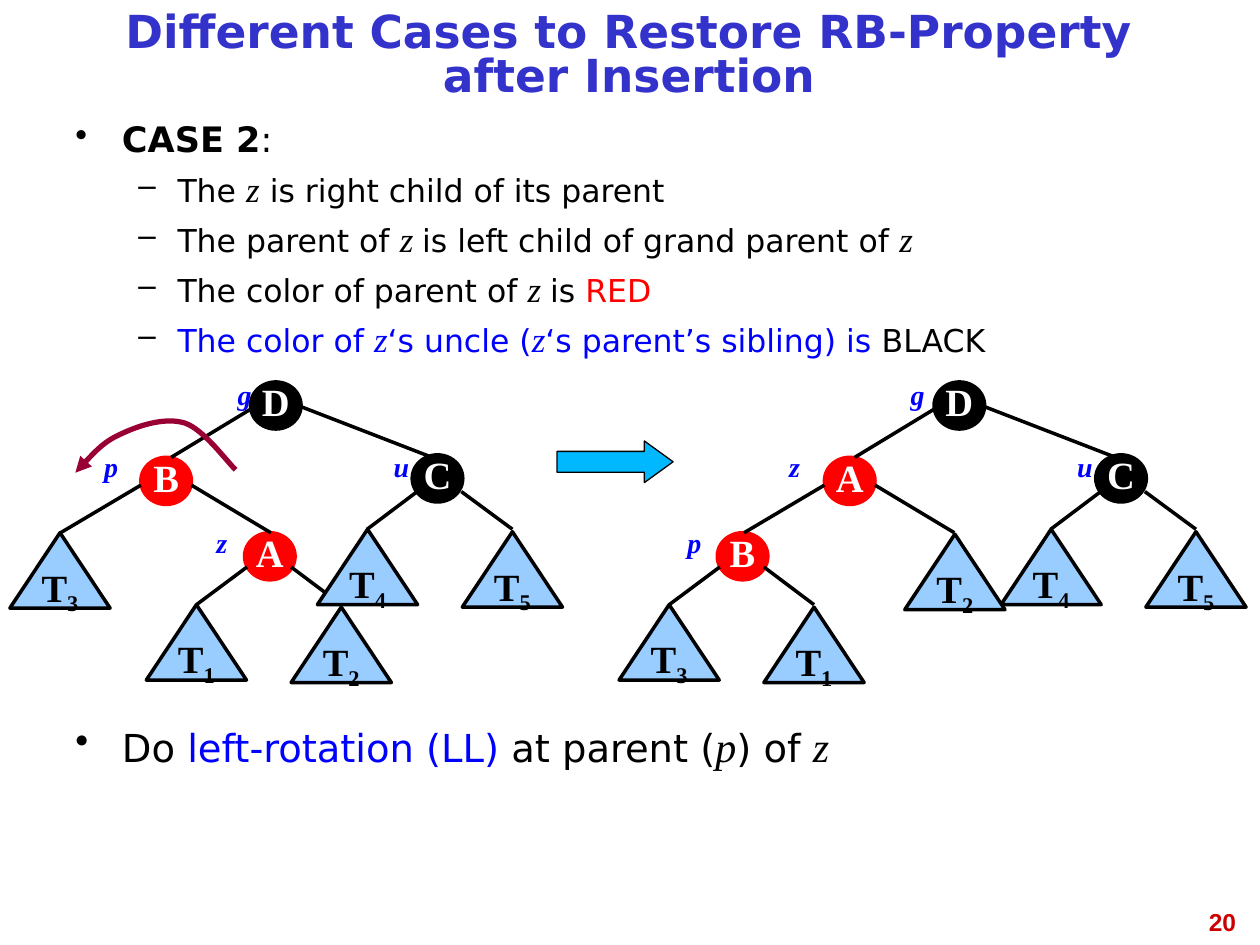
from pptx import Presentation
from pptx import util as u
from pptx.dml.color import RGBColor
from pptx.enum import shapes, text
from pptx.oxml.ns import qn
from lxml import etree

COLORS = {"title": "3333CC", "black": "000000", "red": "FF0000", "blue": "0000FF",
          "white": "FFFFFF", "leaf": "99CCFF", "page": "CC0000",
          "rotation": "990033", "arrow": "00B8FF"}
SANS, SERIF = "DejaVu Sans", "Times New Roman"
CENTER = text.PP_ALIGN.CENTER

deck = Presentation()
deck.slide_width, deck.slide_height = u.Cm(25.4), u.Cm(19.05)
slide = deck.slides.add_slide(deck.slide_layouts[6])
canvas = slide.shapes


def write(paragraph, content, size, color, font=SERIF, bold=False, italic=False):
    run = paragraph.add_run()
    run.text = content
    run.font.size, run.font.name = u.Pt(size), font
    run.font.bold, run.font.italic = bold, italic
    run.font.color.rgb = RGBColor.from_string(COLORS[color])
    return run


def place(kind, x, y, w, h, fill=None, line=None, width=2):
    """Add a text box (kind None) or a filled preset shape; lengths in cm."""
    box = [u.Cm(v) for v in (x, y, w, h)]
    if kind is None:
        part = canvas.add_textbox(*box)
        part.text_frame.word_wrap = True
        return part
    part = canvas.add_shape(kind, *box)
    part.shadow.inherit = False
    part.fill.solid()
    part.fill.fore_color.rgb = RGBColor.from_string(COLORS[fill])
    part.line.color.rgb = RGBColor.from_string(COLORS[line])
    part.line.width = u.Pt(width)
    part.text_frame.word_wrap = False
    part.text_frame.vertical_anchor = text.MSO_ANCHOR.MIDDLE
    caption = part.text_frame.paragraphs[0]
    caption.alignment, caption.line_spacing = CENTER, 0.81
    return part


# Page number and title
page = place(None, 19.25, 18.16, 5.92, 1.32).text_frame.paragraphs[0]
page.alignment = text.PP_ALIGN.RIGHT
write(page, "20", 14, "page", "Arial", bold=True)

heading = place(None, 1.27, 0.2, 22.83, 1.9).text_frame
heading.vertical_anchor = text.MSO_ANCHOR.MIDDLE
title = heading.paragraphs[0]
title.alignment, title.line_spacing = CENTER, 0.81
write(title, "Different Cases to Restore RB-Property after Insertion", 26, "title", SANS, bold=True)

# Bulleted text: each line is (level, size, runs); variables are set in serif italics
case_lines = [
    (0, 20, [("CASE 2", "bold", "black"), (":", "", "black")]),
    (1, 18, [("The ", "", "black"), ("z", "var", "black"),
             (" is right child of its parent", "", "black")]),
    (1, 18, [("The parent of ", "", "black"), ("z ", "var", "black"),
             ("is left child of grand parent of ", "", "black"), ("z", "var", "black")]),
    (1, 18, [("The color of parent of ", "", "black"), ("z ", "var", "black"),
             ("is ", "", "black"), ("RED", "", "red")]),
    (1, 18, [("The color of ", "", "blue"), ("z", "var", "blue"), ("‘s uncle (", "", "blue"),
             ("z", "var", "blue"), ("‘s parent’s sibling) is ", "", "blue"),
             ("BLACK", "", "black")]),
]
action_lines = [
    (0, 22, [("Do ", "", "black"), ("left-rotation (LL)", "", "blue"),
             (" at parent (", "", "black"), ("p", "var", "black"), (") of ", "", "black"),
             ("z", "var", "black")]),
]
bullets = [("•", 0.94, -0.94, 8), ("–", 2.06, -0.79, 7)]
for top, height, spacing, lines in [(2.34, 5.08, 0.9, case_lines), (14.4, 4.01, 1.0, action_lines)]:
    body = place(None, 1.27, top, 22.83, height).text_frame
    for i, (level, size, runs) in enumerate(lines):
        item = body.add_paragraph() if i else body.paragraphs[0]
        mark, margin, indent, gap = bullets[level]
        item.level = level
        item.alignment, item.line_spacing = text.PP_ALIGN.JUSTIFY, spacing
        if i:
            item.space_before = u.Pt(gap)
        props = item._p.get_or_add_pPr()
        props.set("marL", str(u.Cm(margin)))
        props.set("indent", str(u.Cm(indent)))
        tint = etree.SubElement(props, qn("a:buClr"))
        etree.SubElement(tint, qn("a:srgbClr"), val=COLORS["black"])
        etree.SubElement(props, qn("a:buChar"), char=mark)
        for content, style, color in runs:
            variable = style == "var"
            write(item, content, size + 2 * variable, color, SERIF if variable else SANS,
                  bold=style == "bold", italic=variable)

# Trees before and after the rotation: origin, left of the low node, then
# (name, pointer) of the mid and low nodes, the g label, mid leaf and low leaves
trees = [
    (0, 4.93, ("B", "p"), ("A", "z"), 4.93, ("3", 0.2, 10.74), "12"),
    (13.78, 0.68, ("A", "z"), ("B", "p"), 4.72, ("2", 4.46, 10.77), "31"),
]
for origin, low, (mid_name, mid_pointer), (low_name, low_pointer), g_x, mid_leaf, low_leaves in trees:
    # Pointer labels, centred on x
    for pointer, x, y in [("g", g_x, 7.49), (mid_pointer, 2.24, 8.94), ("u", 8.09, 8.94),
                          (low_pointer, low - 0.46, 10.46)]:
        label = place(None, origin + x - 1.02, y, 2.04, 0.94).text_frame.paragraphs[0]
        label.alignment = CENTER
        write(label, pointer, 16, "blue", bold=True, italic=True)

    # Nodes
    for name, color, x, y in [("D", "black", 5.05, 7.7), (mid_name, "red", 2.84, 9.22),
                              ("C", "black", 8.31, 9.17), (low_name, "red", low, 10.74)]:
        node = place(shapes.MSO_SHAPE.OVAL, origin + x, y, 1.02, 0.95, color, color)
        write(node.text_frame.paragraphs[0], name, 22, "white", bold=True)

    # Edges
    for x1, y1, x2, y2 in [
        (6.07, 8.2, 8.71, 9.22), (5.05, 8.25, 3.45, 9.22),
        (3.86, 9.78, 5.46, 10.74), (2.84, 9.78, 1.22, 10.74),
        (8.41, 9.91, 7.4, 10.67), (9.3, 9.91, 10.33, 10.67),
        (low + 0.05, 11.43, low - 0.97, 12.19), (low + 0.94, 11.43, low + 1.95, 12.19),
    ]:
        edge = canvas.add_connector(shapes.MSO_CONNECTOR.STRAIGHT, u.Cm(origin + x1), u.Cm(y1),
                                    u.Cm(origin + x2), u.Cm(y2))
        edge.line.color.rgb = RGBColor.from_string(COLORS["black"])
        edge.line.width = u.Pt(2)
        etree.SubElement(edge._element.spPr, qn("a:effectLst"))

    # Subtrees
    for index, x, y in [(low_leaves[0], low - 1.98, 12.19), (low_leaves[1], low + 0.94, 12.24),
                        ("4", 6.4, 10.67), ("5", 9.32, 10.72), mid_leaf]:
        subtree = place(shapes.MSO_SHAPE.ISOSCELES_TRIANGLE, origin + x, y, 2.02, 1.52,
                        "leaf", "black")
        caption = subtree.text_frame.paragraphs[0]
        write(caption, "T", 22, "black", bold=True)
        subscript = write(caption, index, 22, "black", bold=True)
        subscript.font._element.set("baseline", "-25000")

# Curved rotation arrow: start point, then three control points per curve
bends = [(1.52, 9.53), (1.8, 9.22), (2.11, 8.89), (2.46, 8.74), (2.84, 8.56), (3.35, 8.41),
         (3.73, 8.53), (4.11, 8.66), (4.57, 9.3), (4.75, 9.47)]
points = [(u.Cm(x), u.Cm(y)) for x, y in bends]
builder = canvas.build_freeform(*points[0])
builder.add_line_segments(points[1:], close=False)
rotation = builder.convert_to_shape()
rotation.shadow.inherit = False
rotation.fill.background()
rotation.line.color.rgb = RGBColor.from_string(COLORS["rotation"])
rotation.line.width = u.Pt(3)
etree.SubElement(rotation.line._get_or_add_ln(), qn("a:headEnd"), type="triangle")
outline = next(rotation._element.iter(qn("a:path")))
segments = outline.findall(qn("a:lnTo"))
for i in range(0, len(segments), 3):
    curve = etree.SubElement(outline, qn("a:cubicBezTo"))
    for segment in segments[i:i + 3]:
        curve.append(segment[0])
        outline.remove(segment)

# Arrow between the trees
step = place(shapes.MSO_SHAPE.RIGHT_ARROW, 11.23, 8.89, 2.34, 0.84, "arrow", "black", 0.75)
step.adjustments[1] = 0.69

deck.save("out.pptx")
